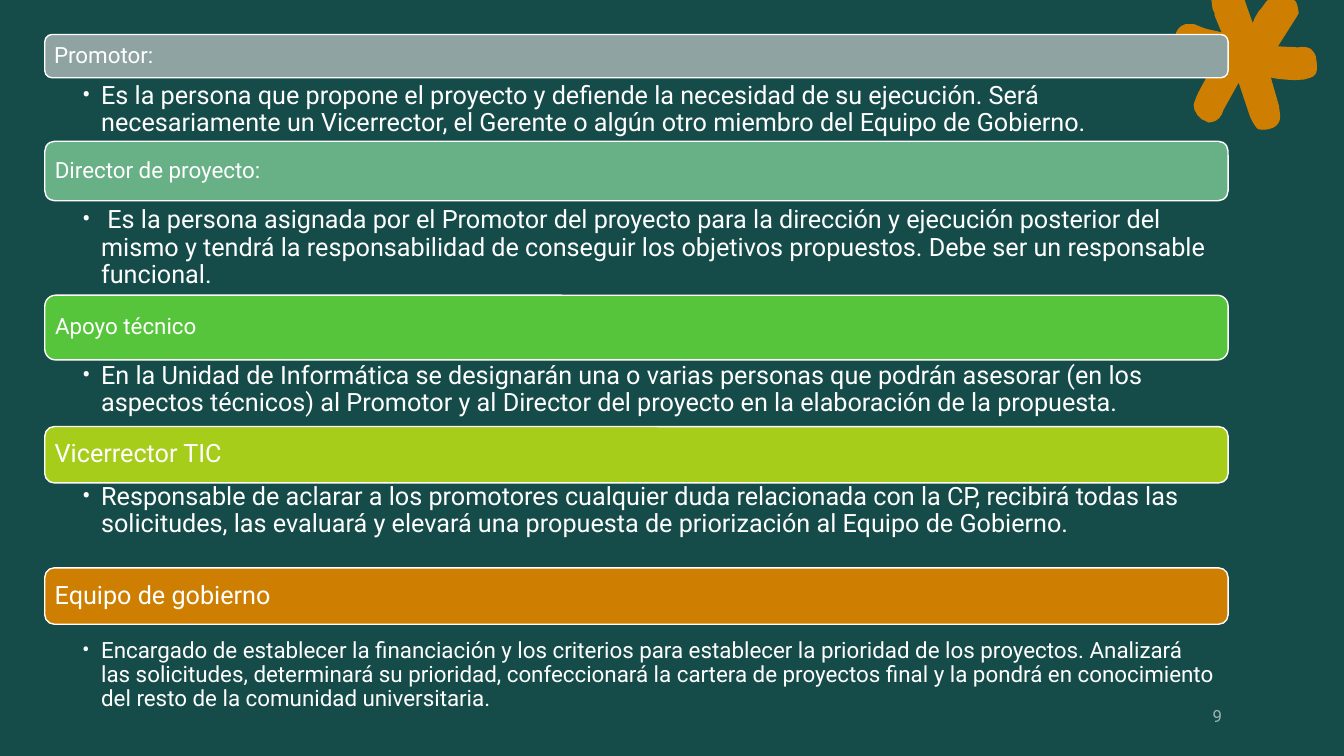
"""Build the slide that defines the roles taking part in a project proposal."""
from dataclasses import dataclass

import pptx
import pptx.dml.color
import pptx.enum.shapes
import pptx.enum.text
import pptx.oxml
import pptx.oxml.ns
import pptx.util

Cm = pptx.util.Cm
Pt = pptx.util.Pt
RGBColor = pptx.dml.color.RGBColor
Anchor = pptx.enum.text.MSO_ANCHOR
Preset = pptx.enum.shapes.MSO_SHAPE

FONT = "Roboto"
NAMESPACE = pptx.oxml.ns.nsdecls("a")
WHITE = RGBColor(0xFF, 0xFF, 0xFF)
NIGHT = RGBColor(0x0B, 0x28, 0x27)
DARK_TEAL = RGBColor(0x15, 0x4C, 0x4A)
PALE_TEAL = RGBColor(0x9D, 0xB4, 0xB3)
GREY = RGBColor(0x8F, 0xA3, 0xA3)
SAGE = RGBColor(0x68, 0xB1, 0x86)
GREEN = RGBColor(0x56, 0xC5, 0x3B)
LIME = RGBColor(0xA7, 0xCD, 0x1B)
ORANGE = RGBColor(0xCE, 0x7F, 0x01)

LEFT, WIDTH = 1.13, 29.82
HANGING = Cm(0.48)
STAR_UNIT = 0.0254


@dataclass
class Role:
    name: str
    duty: str
    color: RGBColor
    bar_top: float
    bar_height: float
    duty_top: float
    duty_height: float
    name_size: int = 16
    duty_size: int = 18


ROLES = [
    Role("Promotor:",
         "Es la persona que propone el proyecto y defiende la necesidad de su ejecución. "
         "Será necesariamente un Vicerrector, el Gerente o algún otro miembro del Equipo "
         "de Gobierno.",
         GREY, 0.87, 1.09, 2.03, 1.83),
    Role("Director de proyecto:",
         " Es la persona asignada por el Promotor del proyecto para la dirección y "
         "ejecución posterior del mismo y tendrá la responsabilidad de conseguir los "
         "objetivos propuestos. Debe ser un responsable funcional.",
         SAGE, 3.56, 1.5, 5.16, 2.24),
    Role("Apoyo técnico",
         "En la Unidad de Informática se designarán una o varias personas que podrán "
         "asesorar (en los aspectos técnicos) al Promotor y al Director del proyecto en "
         "la elaboración de la propuesta.",
         GREEN, 7.44, 1.63, 9.07, 1.83),
    Role("Vicerrector TIC",
         "Responsable de aclarar a los promotores cualquier duda relacionada con la CP, "
         "recibirá todas las solicitudes, las evaluará y elevará una propuesta de "
         "priorización al Equipo de Gobierno.",
         LIME, 10.75, 1.42, 12.12, 2.18, name_size=18),
    Role("Equipo de gobierno",
         "Encargado de establecer la financiación y los criterios para establecer la "
         "prioridad de los proyectos. Analizará las solicitudes, determinará su "
         "prioridad, confeccionará la cartera de proyectos final y la pondrá en "
         "conocimiento del resto de la comunidad universitaria.",
         ORANGE, 14.31, 1.42, 16.05, 1.96, name_size=18, duty_size=16),
]

STAR_START = (1202, 0)
STAR_SEGMENTS = [
    (1235, 0), (1237, 6), (1243, 23),
    (1245, 17, 1245, 18, 1249, 11), (1252, 8, 1254, 5, 1256, 2),
    (1258, 0), (1284, 0), (1286, 2),
    (1287, 5, 1288, 7, 1288, 9), (1289, 12, 1289, 14, 1287, 16),
    (1268, 46), (1288, 47),
    (1294, 46, 1299, 47, 1301, 49), (1304, 52, 1306, 55, 1306, 59),
    (1307, 65, 1307, 69, 1306, 72), (1305, 75, 1302, 77, 1297, 78),
    (1295, 79, 1293, 79, 1292, 79), (1289, 79, 1288, 80, 1276, 79),
    (1264, 78, 1267, 78, 1261, 77),
    (1269, 105),
    (1270, 113, 1271, 118, 1269, 121), (1267, 125, 1264, 127, 1259, 128),
    (1255, 129, 1251, 129, 1248, 128), (1246, 126, 1243, 122, 1240, 115),
    (1229, 82), (1214, 109),
    (1212, 116, 1208, 120, 1203, 121), (1200, 122, 1198, 122, 1196, 120),
    (1193, 119, 1191, 118, 1189, 115), (1188, 115, 1188, 114, 1187, 112),
    (1186, 111, 1185, 109, 1185, 108), (1184, 106, 1184, 103, 1186, 99),
    (1187, 95, 1191, 88, 1197, 77), (1200, 71, 1206, 65, 1207, 64),
    (1205, 64, 1198, 63, 1194, 62), (1192, 61, 1186, 60, 1178, 58),
    (1171, 56, 1173, 55, 1169, 53), (1168, 52, 1167, 50, 1166, 46),
    (1165, 43, 1165, 39, 1166, 36), (1167, 30, 1170, 26, 1176, 24),
    (1178, 24, 1181, 24, 1185, 24), (1199, 30, 1199, 29, 1212, 32),
    (1205, 15),
    (1206, 14, 1205, 12, 1204, 11), (1204, 10, 1204, 9, 1203, 8),
    (1203, 5, 1202, 2, 1202, 0),
]


def paint(shape, color: RGBColor) -> None:
    """Give a shape a plain fill without line or shadow."""
    shape.shadow.inherit = False
    shape.fill.solid()
    shape.fill.fore_color.rgb = color
    shape.line.fill.background()


def draw_star(page) -> None:
    """Draw the curved star that is cropped by the top edge."""
    ends = [STAR_START] + [segment[-2:] for segment in STAR_SEGMENTS]
    corners = [(Cm(x * STAR_UNIT), Cm(y * STAR_UNIT)) for x, y in ends]
    builder = page.shapes.build_freeform(*corners[0])
    builder.add_line_segments(corners[1:], close=True)
    star = builder.convert_to_shape()
    paint(star, ORANGE)
    lines = list(star._element.iter(pptx.oxml.ns.qn("a:lnTo")))
    for line, segment in zip(lines, STAR_SEGMENTS):
        if len(segment) == 6:
            points = "".join(
                f'<a:pt x="{Cm(x * STAR_UNIT) - star.left}" y="{Cm(y * STAR_UNIT) - star.top}"/>'
                for x, y in zip(segment[::2], segment[1::2]))
            curve = pptx.oxml.parse_xml(
                f"<a:cubicBezTo {NAMESPACE}>{points}</a:cubicBezTo>")
            line.getparent().replace(line, curve)


def write_text(box, text: str, *, size: int, color: RGBColor = WHITE,
               margins: tuple = (0.18, 0.18, 0.18, 0.18), anchor=Anchor.MIDDLE,
               spacing: float = 0.9, bullet: bool = False) -> None:
    """Fill a box with one formatted paragraph; margins run left, top, right, bottom."""
    frame = box.text_frame
    frame.word_wrap = True
    frame.vertical_anchor = anchor
    (frame.margin_left, frame.margin_top,
     frame.margin_right, frame.margin_bottom) = map(Cm, margins)
    para = frame.paragraphs[0]
    para.alignment = pptx.enum.text.PP_ALIGN.LEFT
    para.line_spacing = spacing
    if bullet:
        properties = para._p.get_or_add_pPr()
        properties.set("marL", str(HANGING))
        properties.set("indent", str(-HANGING))
        for mark in (f'<a:buFont {NAMESPACE} typeface="{FONT}"/>',
                     f'<a:buChar {NAMESPACE} char="•"/>'):
            properties.append(pptx.oxml.parse_xml(mark))
    para.font.name = FONT
    para.font.size = Pt(size)
    span = para.add_run()
    span.text = text
    span.font.name = FONT
    span.font.size = Pt(size)
    span.font.color.rgb = color


def draw_role(page, role: Role) -> None:
    """Draw the coloured bar of a role and the duty below it."""
    bar = page.shapes.add_shape(Preset.ROUNDED_RECTANGLE, Cm(LEFT), Cm(role.bar_top),
                                Cm(WIDTH), Cm(role.bar_height))
    paint(bar, role.color)
    bar.line.color.rgb = WHITE
    bar.line.width = Pt(1)
    write_text(bar, role.name, size=role.name_size)
    duty = page.shapes.add_textbox(
        Cm(LEFT), Cm(role.duty_top), Cm(WIDTH), Cm(role.duty_height))
    write_text(duty, role.duty, size=role.duty_size, bullet=True,
               margins=(0.94, 0.06, 0.3, 0.06), anchor=Anchor.TOP)


def main() -> None:
    """Build and save the deck."""
    deck = pptx.Presentation()
    deck.slide_width, deck.slide_height = Cm(33.87), Cm(19.05)
    page = deck.slides.add_slide(deck.slide_layouts.get_by_name("Blank"))
    page.background.fill.solid()
    page.background.fill.fore_color.rgb = NIGHT
    backdrop = page.shapes.add_shape(
        Preset.RECTANGLE, 0, 0, deck.slide_width, deck.slide_height)
    paint(backdrop, DARK_TEAL)
    draw_star(page)
    for role in ROLES:
        draw_role(page, role)
    number = page.shapes.add_textbox(Cm(30.56), Cm(16.99), Cm(3.3), Cm(2.01))
    write_text(number, "9", size=12, color=PALE_TEAL, margins=(0, 0.5, 0, 0.5), spacing=1.2)
    deck.save("out.pptx")


if __name__ == "__main__":
    main()
